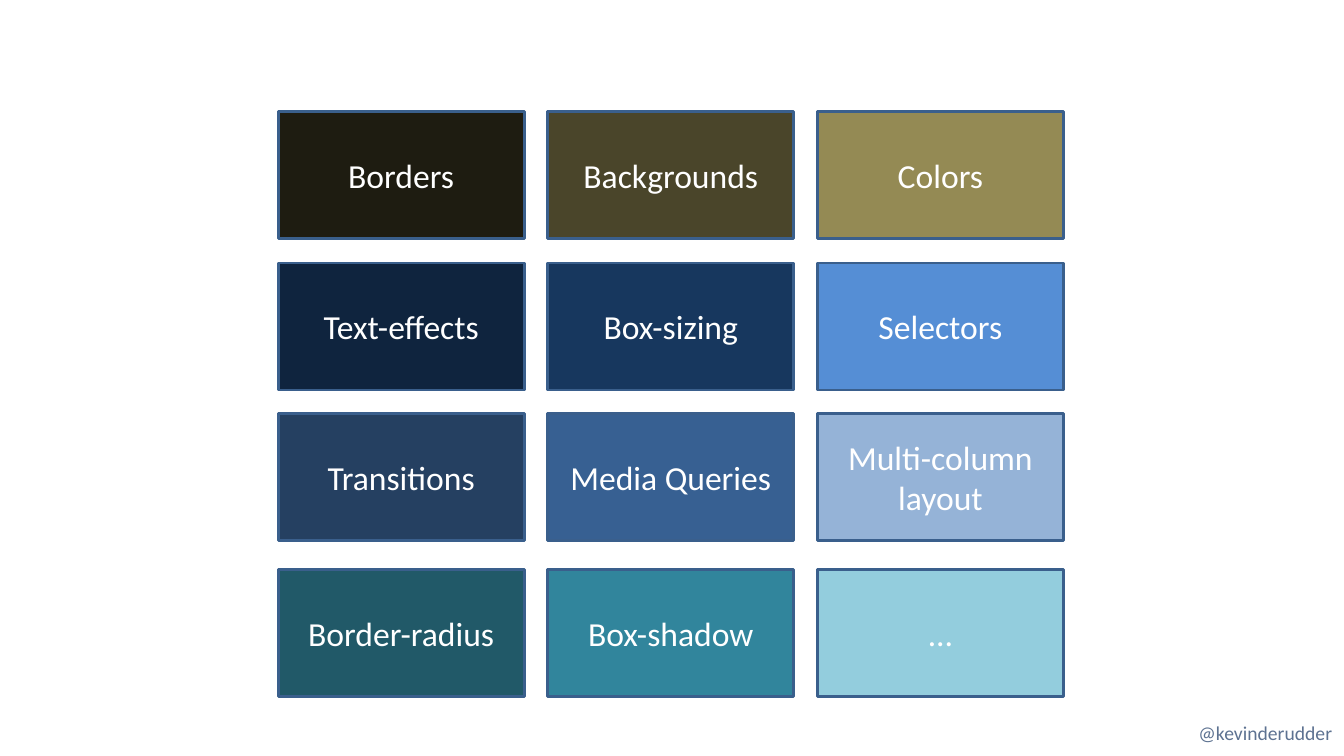
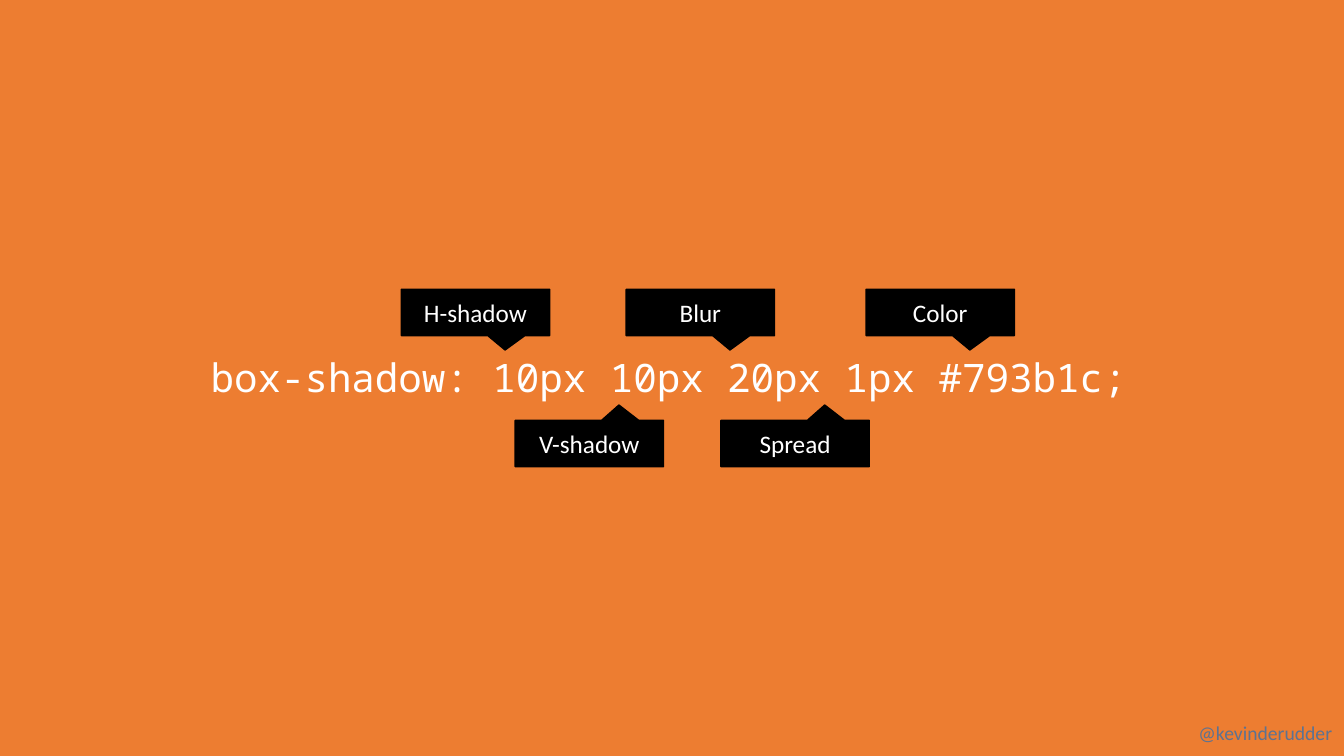
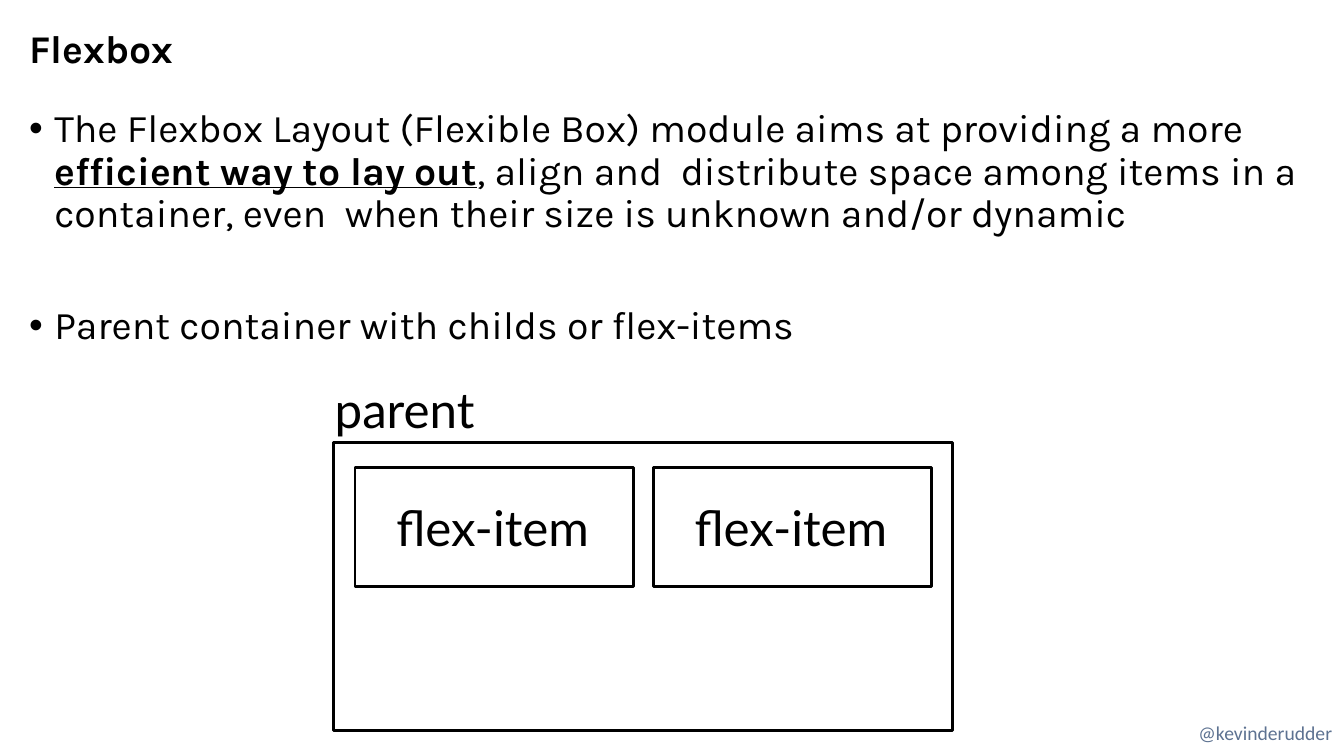
from lxml import etree
from pptx import Presentation
from pptx.dml.color import RGBColor
from pptx.enum.shapes import MSO_SHAPE
from pptx.enum.text import MSO_ANCHOR, MSO_AUTO_SIZE, PP_ALIGN
from pptx.oxml.ns import qn
from pptx.util import Emu, Inches, Pt

RECT = MSO_SHAPE.RECTANGLE
CALLOUT = MSO_SHAPE.RECTANGULAR_CALLOUT
LEFT, CENTER = PP_ALIGN.LEFT, PP_ALIGN.CENTER
TOP, MIDDLE = MSO_ANCHOR.TOP, MSO_ANCHOR.MIDDLE
NO_AUTOFIT = MSO_AUTO_SIZE.NONE

SLIDE_W, SLIDE_H = Inches(13.33), Inches(7.5)
TITLE_ONLY, BLANK = 5, 6
BLACK, WHITE, ORANGE = "000000", "FFFFFF", "ED7D31"
TILE_EDGE, HANDLE_COLOR = "3A5F8C", "5D7291"
SANS, HEADING, DIAGRAM, MONO = "Calibri", "Karla", "Lato", "Noto Sans Mono"

TILE_LEFT, TILE_PITCH, TILE_W, TILE_H = 20.7, 20.06, 18.3, 16.8
TILE_ROWS = [
    (14.8, [("Borders", "1E1C11"), ("Backgrounds", "4A452A"), ("Colors", "948A54")]),
    (34.8, [("Text-effects", "0F243E"), ("Box-sizing", "17375E"), ("Selectors", "558ED5")]),
    (54.67, [("Transitions", "254061"), ("Media Queries", "376092"),
             ("Multi-column layout", "95B3D7")]),
    (75.33, [("Border-radius", "215968"), ("Box-shadow", "31859C"), ("…", "93CDDD")]),
]
CALLOUT_ROWS = [
    (38.27, (0.2, 0.81), [("H-shadow", 29.86), ("Blur", 46.59), ("Color", 64.44)]),
    (55.6, (0.2, -0.83), [("V-shadow", 38.33), ("Spread", 53.64)]),
]
BULLETS = [
    [("The Flexbox Layout (Flexible Box) module aims at providing a more ", False),
     ("efficient way to lay out", True),
     (", align and  distribute space among items in a container, even  when their size"
      " is unknown and/or dynamic", False)],
    [("Parent container with childs or flex-items", False)],
]


def rgb(color):
    return RGBColor.from_string(color)


def frame(left, top, width, height):
    return (Emu(int(SLIDE_W * left / 100)), Emu(int(SLIDE_H * top / 100)),
            Emu(int(SLIDE_W * width / 100)), Emu(int(SLIDE_H * height / 100)))


def write(sp, text, *, size, font=SANS, color=WHITE, bold=False, align=LEFT,
          anchor=TOP, wrap=True, margin=None, indent=0, bullet=False,
          spacing=None, before=0, more=False):
    tf = sp.text_frame
    tf.word_wrap, tf.vertical_anchor, tf.auto_size = wrap, anchor, NO_AUTOFIT
    if margin is not None:
        tf.margin_left = tf.margin_right = tf.margin_top = tf.margin_bottom = margin
    p = tf.add_paragraph() if more else tf.paragraphs[0]
    pPr = p._p.get_or_add_pPr()
    pPr.set("marL", str(Inches(indent)))
    pPr.set("indent", str(-Inches(indent) if bullet else 0))
    if bullet:
        etree.SubElement(pPr, qn("a:buFont")).set("typeface", "Arial")
        etree.SubElement(pPr, qn("a:buChar")).set("char", "•")
    p.alignment = align
    p.space_before = Pt(before)
    if spacing:
        p.line_spacing = spacing
    runs = [(text, False)] if isinstance(text, str) else text
    for part, strong in runs:
        r = p.add_run()
        r.text = part
        r.font.size, r.font.name = Pt(size), font
        r.font.color.rgb = rgb(color)
        r.font.bold, r.font.underline = bold or strong, strong


def add_label(s, box, text, **fmt):
    sp = s.shapes.add_textbox(*frame(*box))
    write(sp, text, **fmt)
    return sp


def add_box(s, kind, box, line, width, fill=None):
    sp = s.shapes.add_shape(kind, *frame(*box))
    sp.shadow.inherit = False
    if fill:
        sp.fill.solid()
        sp.fill.fore_color.rgb = rgb(fill)
    else:
        sp.fill.background()
    sp.line.color.rgb = rgb(line)
    sp.line.width = Pt(width)
    return sp


def new_slide(prs, layout=BLANK, background=WHITE):
    s = prs.slides.add_slide(prs.slide_layouts[layout])
    s.background.fill.solid()
    s.background.fill.fore_color.rgb = rgb(background)
    add_label(s, (88.43, 94.67, 11.55, 4.53), "@kevinderudder", size=14,
              color=HANDLE_COLOR, wrap=False)
    return s


def add_title(s, text):
    sp = s.shapes.title
    sp.left, sp.top, sp.width, sp.height = frame(1.43, 2.13, 96.62, 9.07)
    write(sp, text, size=28, font=HEADING, color=BLACK, bold=True,
          anchor=MIDDLE, spacing=0.9)


def features_slide(prs):
    s = new_slide(prs)
    for top, tiles in TILE_ROWS:
        for col, (name, fill) in enumerate(tiles):
            box = (TILE_LEFT + col * TILE_PITCH, top, TILE_W, TILE_H)
            sp = add_box(s, RECT, box, TILE_EDGE, 2, fill)
            write(sp, name, size=24, align=CENTER, anchor=MIDDLE)


def box_shadow_slide(prs):
    s = new_slide(prs, background=ORANGE)
    add_label(s, (14.93, 46.13, 70.13, 7.6),
              "box-shadow: 10px 10px 20px 1px #793b1c;", size=28, font=MONO)
    for top, tip, callouts in CALLOUT_ROWS:
        for name, left in callouts:
            sp = add_box(s, CALLOUT, (left, top, 11.03, 6.13), BLACK, 1, BLACK)
            sp.adjustments[0], sp.adjustments[1] = tip
            write(sp, name, size=18, align=CENTER, anchor=MIDDLE)


def flexbox_slide(prs):
    s = new_slide(prs, TITLE_ONLY)
    add_title(s, "Flexbox")
    body = s.shapes.add_textbox(*frame(1.43, 13.73, 96.62, 76.27))
    for i, runs in enumerate(BULLETS):
        write(body, runs, size=28, font=HEADING, color=BLACK, indent=0.25,
              bullet=True, spacing=0.9, before=50 * i, more=i > 0)
    diagram = {"size": 35.2, "font": DIAGRAM, "color": BLACK, "margin": 0}
    add_box(s, RECT, (24.83, 58.53, 46.06, 38.13), BLACK, 2)
    add_label(s, (24.83, 50.27, 16.35, 7.87), "parent", indent=0.01,
              spacing=Pt(42), **diagram)
    for col in range(2):
        sp = add_box(s, RECT, (26.41 + col * 22.2, 61.8, 20.7, 15.73), BLACK, 2)
        write(sp, "flex-item", anchor=MIDDLE, indent=0.41, **diagram)


def main():
    prs = Presentation()
    prs.slide_width, prs.slide_height = SLIDE_W, SLIDE_H
    features_slide(prs)
    box_shadow_slide(prs)
    flexbox_slide(prs)
    prs.save("out.pptx")


if __name__ == "__main__":
    main()
